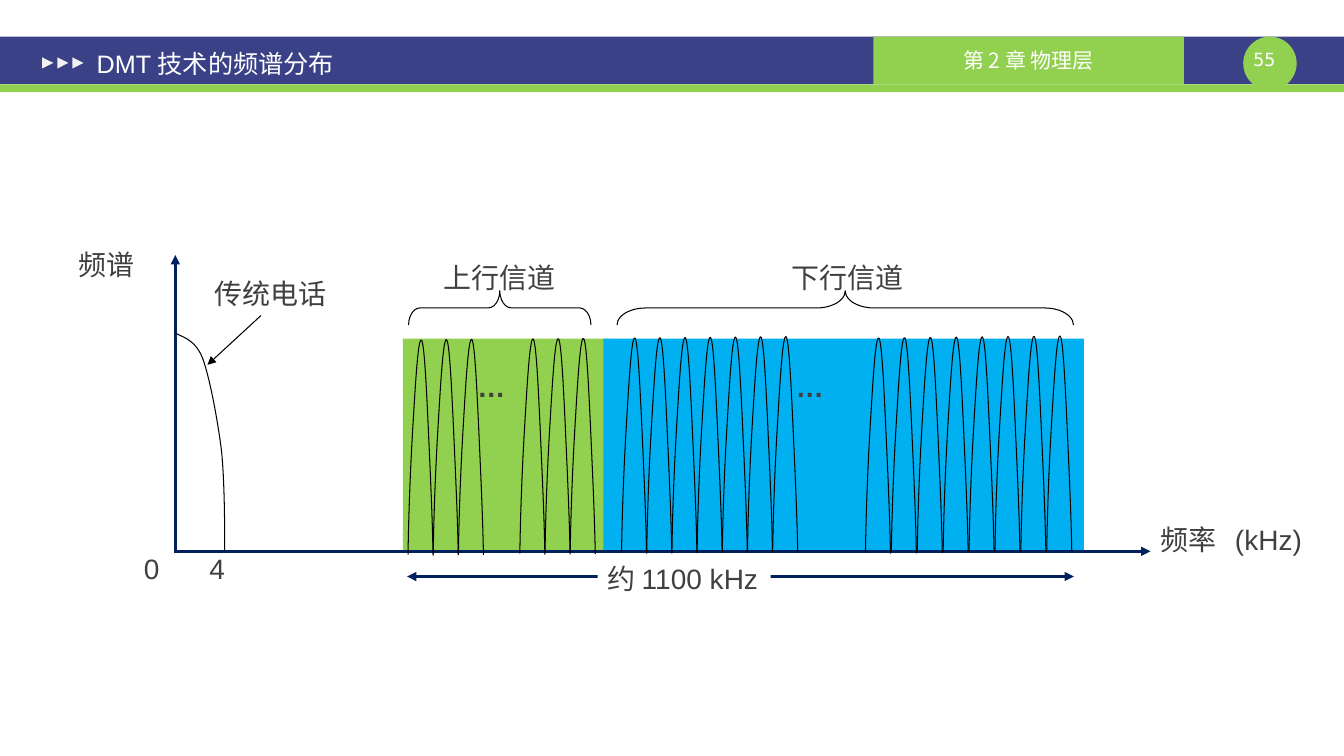
from dataclasses import dataclass

from lxml.etree import SubElement
from pptx import Presentation
from pptx.dml.color import RGBColor
from pptx.enum.shapes import MSO_CONNECTOR, MSO_SHAPE
from pptx.enum.text import MSO_ANCHOR, MSO_AUTO_SIZE, PP_ALIGN
from pptx.oxml.ns import qn
from pptx.shapes.autoshape import Shape
from pptx.slide import Slide
from pptx.text.text import TextFrame
from pptx.util import Pt

NAVY = RGBColor(0x3A, 0x41, 0x87)
GREEN = RGBColor(0x92, 0xD0, 0x50)
BLUE = RGBColor(0x00, 0xB0, 0xF0)
AXIS = RGBColor(0x00, 0x20, 0x60)
DARK = RGBColor(0x40, 0x40, 0x40)
LIGHT = RGBColor(0xF2, 0xF2, 0xF2)
WHITE = RGBColor(0xFF, 0xFF, 0xFF)
BLACK = RGBColor(0, 0, 0)
CHINESE_FONT = "Noto Sans CJK SC"

Point = tuple[float, float]
Box = tuple[float, float, float, float]


@dataclass(frozen=True)
class Label:
    text: str
    box: Box
    bold: bool = False
    wrap: bool = False


@dataclass(frozen=True)
class Arrow:
    start: Point
    end: Point
    color: RGBColor = AXIS
    width: float = 2.25
    double: bool = False


@dataclass(frozen=True)
class Brace:
    box: Box
    curl: float


@dataclass(frozen=True)
class LobeGroup:
    """A run of subchannels; each lobe sits `rise` higher than the one before."""
    left: float
    top: float
    count: int
    pitch: float
    rise: float


LABELS = [
    Label("…", (334.1, 260.6, 34.6, 31.7), bold=True),
    Label("…", (561.6, 260.6, 34.6, 31.7), bold=True),
    Label("频谱", (49, 173.5, 54.7, 31.7)),
    Label("频率", (822.2, 369.4, 54.7, 31.7)),
    Label("(kHz)", (875.5, 369.4, 64.8, 31.7)),
    Label("上行信道", (309.6, 182.2, 95, 31.7)),
    Label("下行信道", (558.7, 182.2, 95, 31.7)),
    Label("传统电话", (146.2, 193.7, 95, 31.7)),
    Label("0", (95.8, 390.2, 26.6, 31.7)),
    Label("4", (142.6, 390.2, 26.6, 31.7)),
]
BANDWIDTH_LABEL = Label("约 1100 kHz", (427, 397.4, 123.8, 31.7), wrap=True)

ARROWS = [
    Arrow((290.9, 411.8), (767.5, 411.8), double=True),
    Arrow((125.3, 395.3), (125.3, 182.2)),
    Arrow((186.5, 225.4), (148.3, 260.6), BLACK, 0.75),
    Arrow((125.3, 393.8), (822.2, 393.8)),
]
BRACES = [
    Brace((344.9, 154.8, 24.5, 130.3), 0.336),
    Brace((591.8, 56.9, 24.5, 326.2), 0.841),
]
LOBE_GROUPS = [
    LobeGroup(291.6, 242.8, 3, 18, 0.2),
    LobeGroup(371.5, 242.1, 3, 18, 0.2),
    LobeGroup(444.2, 241.4, 7, 18, 0.16),
    LobeGroup(618.5, 241.4, 8, 18.51, 0.2),
]
# Bezier chains: a start point, then two controls and an end per segment.
LOBE = [
    (0, 153.4),
    (0.4, 125), (1.7, 92), (3.4, 63.4),
    (5.1, 35), (7, 0), (9.4, 0),
    (11.6, 0), (13.2, 35), (14.5, 63),
    (15.8, 92), (17.4, 125), (17.9, 154),
]
TELEPHONE_CURVE = [
    (125.3, 237.6),
    (128.2, 240.5), (139, 241.2), (144.7, 255.6),
    (149.8, 269.3), (155.5, 299.5), (158.4, 322.6),
    (160.6, 345.6), (160.6, 378.7), (160.6, 393.1),
]


def format_text(frame: TextFrame, text: str, size: float, color: RGBColor,
                font: str = "Arial", bold: bool = False,
                align: PP_ALIGN = PP_ALIGN.LEFT) -> None:
    frame.text = text
    paragraph = frame.paragraphs[0]
    paragraph.alignment = align
    for run in paragraph.runs:
        run.font.size = Pt(size)
        run.font.bold = bold
        run.font.color.rgb = color
        run.font.name = font
        SubElement(run._r.get_or_add_rPr(), qn("a:ea"), typeface=CHINESE_FONT)


def add_block(slide: Slide, kind: MSO_SHAPE, box: Box, color: RGBColor) -> Shape:
    shape = slide.shapes.add_shape(kind, *map(Pt, box))
    shape.shadow.inherit = False
    shape.fill.solid()
    shape.fill.fore_color.rgb = color
    shape.line.fill.background()
    return shape


def add_label(slide: Slide, label: Label) -> Shape:
    shape = slide.shapes.add_textbox(*map(Pt, label.box))
    shape.text_frame.word_wrap = label.wrap
    format_text(shape.text_frame, label.text, 20, DARK, bold=label.bold)
    return shape


def add_arrow(slide: Slide, arrow: Arrow) -> None:
    connector = slide.shapes.add_connector(
        MSO_CONNECTOR.STRAIGHT, *map(Pt, arrow.start + arrow.end))
    connector.line.color.rgb = arrow.color
    connector.line.width = Pt(arrow.width)
    properties = connector.element.spPr
    line = properties.find(qn("a:ln"))
    if arrow.double:
        SubElement(line, qn("a:headEnd"), type="triangle")
    SubElement(line, qn("a:tailEnd"), type="triangle")
    SubElement(properties, qn("a:effectLst"))


def outline(shape: Shape) -> None:
    shape.shadow.inherit = False
    shape.fill.background()
    shape.line.color.rgb = BLACK
    shape.line.width = Pt(0.75)


def add_brace(slide: Slide, brace: Brace) -> None:
    shape = slide.shapes.add_shape(MSO_SHAPE.LEFT_BRACE, *map(Pt, brace.box))
    shape.rotation = 90
    shape.adjustments[0] = brace.curl
    outline(shape)


def add_curve(slide: Slide, chain: list[Point], left: float = 0, top: float = 0) -> None:
    """Draw a Bezier chain, shifted by left and top."""
    start, *rest = [(Pt(left + x), Pt(top + y)) for x, y in chain]
    builder = slide.shapes.build_freeform(*start)
    builder.add_line_segments(rest, close=False)
    shape = builder.convert_to_shape()
    contour = next(shape.element.iter(qn("a:path")))
    segments = contour.findall(qn("a:lnTo"))
    for first in range(0, len(segments), 3):
        curve = SubElement(contour, qn("a:cubicBezTo"))
        for segment in segments[first:first + 3]:
            curve.append(segment[0])
            contour.remove(segment)
    outline(shape)


def add_header(slide: Slide) -> None:
    add_block(slide, MSO_SHAPE.RECTANGLE, (0, 26.2, 960.48, 34), NAVY)
    add_block(slide, MSO_SHAPE.RECTANGLE, (0, 60.3, 960.48, 5.6), GREEN)
    add_block(slide, MSO_SHAPE.OVAL, (888.5, 26.2, 38.2, 38.2), GREEN)
    number = slide.shapes.add_textbox(*map(Pt, (884.5, 34.6, 38.2, 15.8)))
    frame = number.text_frame
    frame.margin_left = frame.margin_right = frame.margin_top = frame.margin_bottom = 0
    format_text(frame, "55", 13, WHITE, "DejaVu Sans Mono", align=PP_ALIGN.CENTER)
    chapter = add_block(slide, MSO_SHAPE.RECTANGLE, (624.2, 26.2, 221.8, 34), GREEN)
    chapter.text_frame.vertical_anchor = MSO_ANCHOR.MIDDLE
    format_text(chapter.text_frame, "第 2 章 物理层", 15, WHITE, CHINESE_FONT,
                align=PP_ALIGN.CENTER)
    for index in range(3):
        marker = add_block(slide, MSO_SHAPE.ISOSCELES_TRIANGLE,
                           (30.2 + 10.8 * index, 41, 7.9, 7.9), LIGHT)
        marker.rotation = 90

    title = slide.shapes.title
    title.left, title.top, title.width, title.height = map(Pt, (61.2, 28.1, 419.8, 33.8))
    title.text_frame.auto_size = MSO_AUTO_SIZE.NONE
    title.text_frame.vertical_anchor = MSO_ANCHOR.MIDDLE
    title.text_frame.margin_left = Pt(7.9)
    format_text(title.text_frame, "DMT 技术的频谱分布", 18, WHITE)
    title.element.getparent().append(title.element)  # bring in front of the band


def add_spectrum(slide: Slide) -> None:
    add_block(slide, MSO_SHAPE.RECTANGLE, (288, 241.9, 146.9, 151.9), GREEN)
    add_block(slide, MSO_SHAPE.RECTANGLE, (431.3, 241.9, 343.4, 151.9), BLUE)
    for arrow in ARROWS:
        add_arrow(slide, arrow)
    for brace in BRACES:
        add_brace(slide, brace)
    add_curve(slide, TELEPHONE_CURVE)
    for group in LOBE_GROUPS:
        for index in range(group.count):
            add_curve(slide, LOBE, group.left + index * group.pitch,
                      group.top - index * group.rise)
    for label in LABELS:
        add_label(slide, label)
    bandwidth = add_label(slide, BANDWIDTH_LABEL)
    bandwidth.fill.solid()
    bandwidth.fill.fore_color.rgb = WHITE


def main() -> None:
    presentation = Presentation()
    presentation.slide_width, presentation.slide_height = Pt(960.48), Pt(540)
    slide = presentation.slides.add_slide(presentation.slide_layouts[5])
    add_header(slide)
    add_spectrum(slide)
    presentation.save("out.pptx")


if __name__ == "__main__":
    main()
